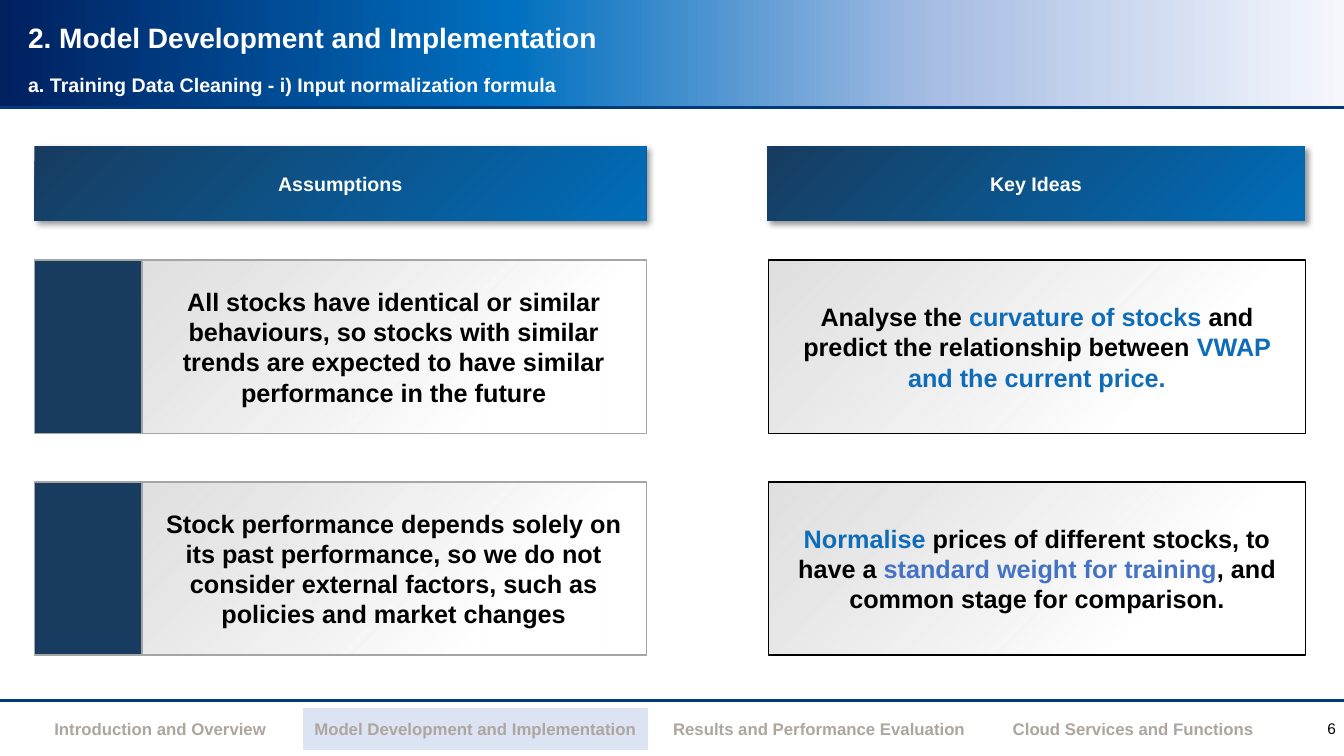
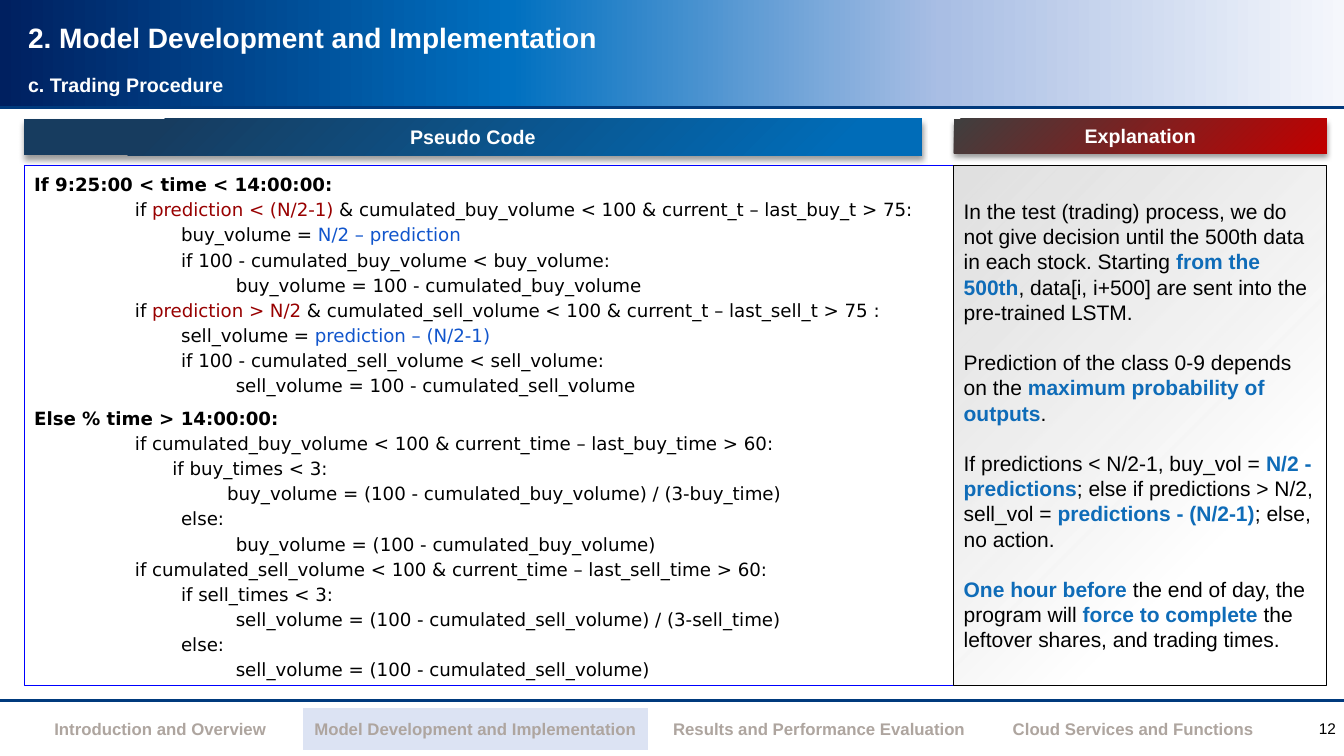
from dataclasses import dataclass
from typing import Optional

from lxml.etree import SubElement
from pptx import Presentation
from pptx.dml.color import RGBColor
from pptx.enum.shapes import MSO_CONNECTOR, MSO_SHAPE
from pptx.enum.text import MSO_ANCHOR, PP_ALIGN
from pptx.oxml import parse_xml
from pptx.oxml.ns import nsdecls, qn
from pptx.util import Emu, Pt

EMU_PER_PX = 9144  # 100 px to the inch


def px(length: int) -> Emu:
    return Emu(length * EMU_PER_PX)


@dataclass(frozen=True)
class Gradient:
    stops: tuple  # (position %, colour, opacity %)
    angle: int


@dataclass(frozen=True)
class Theme:
    sans: str = "Arial"
    code_font: str = "DejaVu Sans"
    white: str = "FFFFFF"
    black: str = "000000"
    rule: str = "003A7D"
    navy: str = "173C5F"
    accent: str = "0F6CB8"
    soft_blue: str = "4472C4"
    grey_line: str = "A5A5A5"
    code_line: str = "0000FF"
    code_red: str = "980000"
    code_blue: str = "1155CC"
    nav_text: str = "AEA59F"
    nav_active: str = "DCE3F3"
    title_size: int = 20
    heading_size: int = 14
    card_size: int = 18
    note_size: int = 15
    code_size: int = 13
    nav_size: int = 12
    number_size: int = 11
    band: Gradient = Gradient(((0, "F5F7FC", 100), (30, "A9BEE4", 100),
                               (62, "0070C0", 100), (100, "002060", 100)), 180)
    blue: Gradient = Gradient(((0, "173C5F", 100), (99, "006CB8", 100), (100, "006CB8", 100)), 45)
    wide_blue: Gradient = Gradient(((0, "173C5F", 100), (15, "173C5F", 100),
                                    (91, "006CB8", 100), (100, "006CB8", 100)), 45)
    red: Gradient = Gradient(((0, "3F3F3F", 100), (99, "C00000", 100), (100, "C00000", 100)), 45)
    silver: Gradient = Gradient(((0, "FFFFFF", 98), (28, "FFFFFF", 98), (100, "D8D8D8", 80)), 225)


THEME = Theme()


@dataclass(frozen=True)
class Box:
    left: int
    top: int
    width: int
    height: int

    def emu(self) -> tuple:
        return tuple(px(side) for side in (self.left, self.top, self.width, self.height))


@dataclass(frozen=True)
class Span:
    text: str
    color: Optional[str] = None
    bold: Optional[bool] = None


@dataclass(frozen=True)
class Style:
    size: int
    color: str = THEME.black
    bold: bool = False
    font: str = THEME.sans
    align: PP_ALIGN = PP_ALIGN.LEFT
    line_spacing: Optional[float] = None
    gap: float = 0  # points between paragraphs
    tabs: tuple = ()  # tab stops in px


@dataclass(frozen=True)
class Line:
    spans: tuple
    bold: Optional[bool] = None
    space_before: Optional[float] = None


HEADING = Style(THEME.heading_size, THEME.white, True, align=PP_ALIGN.CENTER)
TITLE = Style(THEME.title_size, THEME.white, True, line_spacing=0.9)
SUBTITLE = Style(THEME.heading_size, THEME.white, True, line_spacing=0.7)
CARD = Style(THEME.card_size, bold=True, align=PP_ALIGN.CENTER)
NOTE = Style(THEME.note_size, gap=18)
CODE = Style(THEME.code_size, font=THEME.code_font, line_spacing=1.15, tabs=(100, 200))
NAVIGATION = Style(THEME.nav_size, THEME.nav_text, True, align=PP_ALIGN.CENTER)
NUMBER = Style(THEME.number_size, align=PP_ALIGN.RIGHT)


def plain(text: str) -> list[Line]:
    return [Line((Span(text),))]


# Text and shape helpers
def write(text_frame, lines: list[Line], style: Style) -> None:
    text_frame.word_wrap = True
    for index, line in enumerate(lines):
        paragraph = text_frame.paragraphs[0] if index == 0 else text_frame.add_paragraph()
        paragraph.alignment = style.align
        if style.line_spacing:
            paragraph.line_spacing = style.line_spacing
        if index:
            paragraph.space_before = Pt(style.gap if line.space_before is None else line.space_before)
        if style.tabs:
            tab_list = SubElement(paragraph._p.get_or_add_pPr(), qn("a:tabLst"))
            for stop in style.tabs:
                SubElement(tab_list, qn("a:tab"), pos=str(px(stop)), algn="l")
        font = paragraph.font
        font.name, font.size = style.font, Pt(style.size)
        font.bold = style.bold if line.bold is None else line.bold
        font.color.rgb = RGBColor.from_string(style.color)
        for span in line.spans:
            run = paragraph.add_run()
            run.text = span.text
            if span.color:
                run.font.color.rgb = RGBColor.from_string(span.color)
            if span.bold is not None:
                run.font.bold = span.bold


def fill_gradient(shape, gradient: Gradient) -> None:
    stops = "".join(
        f'<a:gs pos="{position * 1000}"><a:srgbClr val="{color}">'
        f'<a:alpha val="{opacity * 1000}"/></a:srgbClr></a:gs>'
        for position, color, opacity in gradient.stops)
    element = parse_xml(f'<a:gradFill {nsdecls("a")} rotWithShape="1"><a:gsLst>{stops}</a:gsLst>'
                        f'<a:lin ang="{gradient.angle * 60000}" scaled="0"/></a:gradFill>')
    shape._element.spPr.find(qn("a:prstGeom")).addnext(element)


def add_panel(shapes, box: Box, fill, line: Optional[str] = None):
    shape = shapes.add_shape(MSO_SHAPE.RECTANGLE, *box.emu())
    shape.shadow.inherit = False
    if isinstance(fill, Gradient):
        fill_gradient(shape, fill)
    else:
        shape.fill.solid()
        shape.fill.fore_color.rgb = RGBColor.from_string(fill)
    if line:
        shape.line.color.rgb = RGBColor.from_string(line)
        shape.line.width = Pt(1)
    else:
        shape.line.fill.background()
    return shape


def add_text_panel(shapes, box: Box, fill, line: str, lines: list[Line], style: Style,
                   anchor: MSO_ANCHOR = MSO_ANCHOR.MIDDLE) -> None:
    shape = add_panel(shapes, box, fill, line)
    shape.text_frame.vertical_anchor = anchor
    write(shape.text_frame, lines, style)


def add_heading(slide, box: Box, gradient: Gradient, text: str, shadow_angle: int) -> None:
    shape = add_panel(slide.shapes, box, gradient)
    effects = shape._element.spPr.find(qn("a:effectLst"))
    effects.append(parse_xml(
        f'<a:outerShdw {nsdecls("a")} blurRad="{Pt(4)}" dist="{Pt(3)}" dir="{shadow_angle * 60000}" '
        f'algn="tl" rotWithShape="0"><a:srgbClr val="{THEME.black}"><a:alpha val="40000"/>'
        '</a:srgbClr></a:outerShdw>'))
    shape.text_frame.vertical_anchor = MSO_ANCHOR.MIDDLE
    write(shape.text_frame, plain(text), HEADING)


def add_label(slide, box: Box, text: str, style: Style, inset: Optional[int] = None) -> None:
    text_frame = slide.shapes.add_textbox(*box.emu()).text_frame
    text_frame.vertical_anchor = MSO_ANCHOR.MIDDLE
    if inset is not None:
        text_frame.margin_left = text_frame.margin_right = px(inset)
        text_frame.margin_top = text_frame.margin_bottom = px(inset)
    write(text_frame, plain(text), style)


# Parts shared by the slides
SLIDE_WIDTH, SLIDE_HEIGHT = 1333, 750
SECTION = "Model Development and Implementation"
NAVIGATION_COLUMNS = (
    ("Introduction and Overview", 282),
    (SECTION, 343),
    ("Results and Performance Evaluation", 339),
    ("Cloud Services and Functions", 284),
)


def add_rule(slide, top: int) -> None:
    rule = slide.shapes.add_connector(MSO_CONNECTOR.STRAIGHT, 0, px(top), px(SLIDE_WIDTH), px(top))
    rule.line.color.rgb = RGBColor.from_string(THEME.rule)
    rule.line.width = Pt(2.25)
    SubElement(rule._element.spPr, qn("a:effectLst"))


def add_navigation(slide) -> None:
    width = sum(column_width for _, column_width in NAVIGATION_COLUMNS)
    table = slide.shapes.add_table(1, len(NAVIGATION_COLUMNS), *Box(18, 702, width, 43).emu()).table
    table.first_row = table.horz_banding = False
    for index, (text, column_width) in enumerate(NAVIGATION_COLUMNS):
        table.columns[index].width = px(column_width)
        cell = table.cell(0, index)
        cell.vertical_anchor = MSO_ANCHOR.MIDDLE
        cell.fill.solid()
        cell.fill.fore_color.rgb = RGBColor.from_string(
            THEME.nav_active if text == SECTION else THEME.white)
        write(cell.text_frame, plain(text), NAVIGATION)


def add_base_slide(presentation, subtitle: str, number: int):
    slide = presentation.slides.add_slide(presentation.slide_layouts[6])
    for top in (695, 107):
        add_rule(slide, top)
    add_navigation(slide)
    add_panel(slide.shapes, Box(0, -2, SLIDE_WIDTH, 107), THEME.band)
    add_label(slide, Box(1295, 706, 38, 34), str(number), NUMBER, inset=8)
    add_label(slide, Box(18, 13, 1171, 52), f"2. {SECTION}", TITLE)
    add_label(slide, Box(18, 73, 1171, 27), subtitle, SUBTITLE)
    return slide


# Slide: assumptions and key ideas
ASSUMPTIONS = (
    "All stocks have identical or similar behaviours, so stocks with similar trends are "
    "expected to have similar performance in the future",
    "Stock performance depends solely on its past performance, so we do not consider "
    "external factors, such as policies and market changes",
)
KEY_IDEAS = (
    Line((Span("Analyse the "), Span("curvature of stocks ", THEME.accent),
          Span("and predict the relationship between"),
          Span(" VWAP and the current price.", THEME.accent))),
    Line((Span("Normalise", THEME.accent), Span(" prices of different stocks, to have a "),
          Span("standard weight for training", THEME.soft_blue),
          Span(", and common stage for comparison."))),
)


def add_normalization_slide(presentation) -> None:
    slide = add_base_slide(
        presentation, "a. Training Data Cleaning - i) Input normalization formula", 6)
    add_heading(slide, Box(34, 145, 607, 74), THEME.blue, "Assumptions", 45)
    add_heading(slide, Box(761, 145, 533, 74), THEME.blue, "Key Ideas", 45)
    for row, (assumption, idea) in enumerate(zip(ASSUMPTIONS, KEY_IDEAS)):
        top = 258 + row * 220
        card = slide.shapes.add_group_shape()
        add_text_panel(card.shapes, Box(140, top, 501, 172), THEME.silver, THEME.grey_line,
                       plain(assumption), CARD)
        add_panel(card.shapes, Box(34, top, 107, 172), THEME.navy, THEME.grey_line)
        add_text_panel(slide.shapes, Box(762, top, 533, 172), THEME.silver, THEME.black, [idea], CARD)


# Slide: trading procedure
PSEUDO_CODE = [
    Line((Span("If 9:25:00 < time < 14:00:00:"),), bold=True),
    Line((Span("\tif "), Span("prediction < (N/2-1)", THEME.code_red),
          Span(" & cumulated_buy_volume < 100 & current_t – last_buy_t > 75:"))),
    Line((Span("    \t        buy_volume = "), Span("N/2 – prediction", THEME.code_blue))),
    *plain("    \t        if 100 - cumulated_buy_volume < buy_volume:"),
    *plain("        \t\tbuy_volume = 100 - cumulated_buy_volume"),
    Line((Span("\tif "), Span("prediction > N/2", THEME.code_red),
          Span(" & cumulated_sell_volume < 100 & current_t – last_sell_t > 75 :"))),
    Line((Span("    \t        sell_volume = "), Span("prediction – (N/2-1)", THEME.code_blue))),
    *plain("    \t        if 100 - cumulated_sell_volume < sell_volume:"),
    *plain("        \t\tsell_volume = 100 - cumulated_sell_volume"),
    Line((Span("Else % time > 14:00:00:"),), bold=True, space_before=5.5),
    *plain("\tif cumulated_buy_volume < 100 & current_time – last_buy_time > 60:"),
    *plain("                        if buy_times < 3:"),
    *plain("        \t                buy_volume = (100 - cumulated_buy_volume) / (3-buy_time)"),
    *plain("    \t        else:"),
    *plain("        \t\tbuy_volume = (100 - cumulated_buy_volume)"),
    *plain("\tif cumulated_sell_volume < 100 & current_time – last_sell_time > 60:"),
    *plain("    \t        if sell_times < 3:"),
    *plain("        \t\tsell_volume = (100 - cumulated_sell_volume) / (3-sell_time)"),
    *plain("    \t        else:"),
    *plain("        \t\tsell_volume = (100 - cumulated_sell_volume)"),
]


def strong(text: str) -> Span:
    return Span(text, THEME.accent, True)


EXPLANATION = [
    Line((Span("In the test (trading) process, we do not give decision until the 500th data "
               "in each stock. Starting "), strong("from the 500th"),
          Span(", data[i, i+500] are sent into the pre-trained LSTM."))),
    Line((Span("Prediction of the class 0-9 depends on the "),
          strong("maximum probability of outputs"), Span("."))),
    Line((Span("If predictions < N/2-1, buy_vol = "), strong("N/2 - predictions"),
          Span("; else if predictions > N/2, sell_vol = "), strong("predictions - (N/2-1)"),
          Span("; else, no action."))),
    Line((strong("One hour before"), Span(" the end of day, the program will "),
          strong("force to complete"), Span(" the leftover shares, and trading times."))),
]


def add_trading_slide(presentation) -> None:
    slide = add_base_slide(presentation, "c. Trading Procedure", 12)
    add_heading(slide, Box(24, 118, 890, 36), THEME.wide_blue, "Pseudo Code", 90)
    add_text_panel(slide.shapes, Box(24, 164, 922, 516), THEME.white, THEME.code_line,
                   PSEUDO_CODE, CODE, MSO_ANCHOR.TOP)
    add_heading(slide, Box(946, 118, 370, 34), THEME.red, "Explanation", 90)
    add_text_panel(slide.shapes, Box(946, 164, 370, 516), THEME.silver, THEME.black,
                   EXPLANATION, NOTE)


def main() -> None:
    presentation = Presentation()
    presentation.slide_width, presentation.slide_height = px(SLIDE_WIDTH), px(SLIDE_HEIGHT)
    add_normalization_slide(presentation)
    add_trading_slide(presentation)
    presentation.save("out.pptx")


if __name__ == "__main__":
    main()
